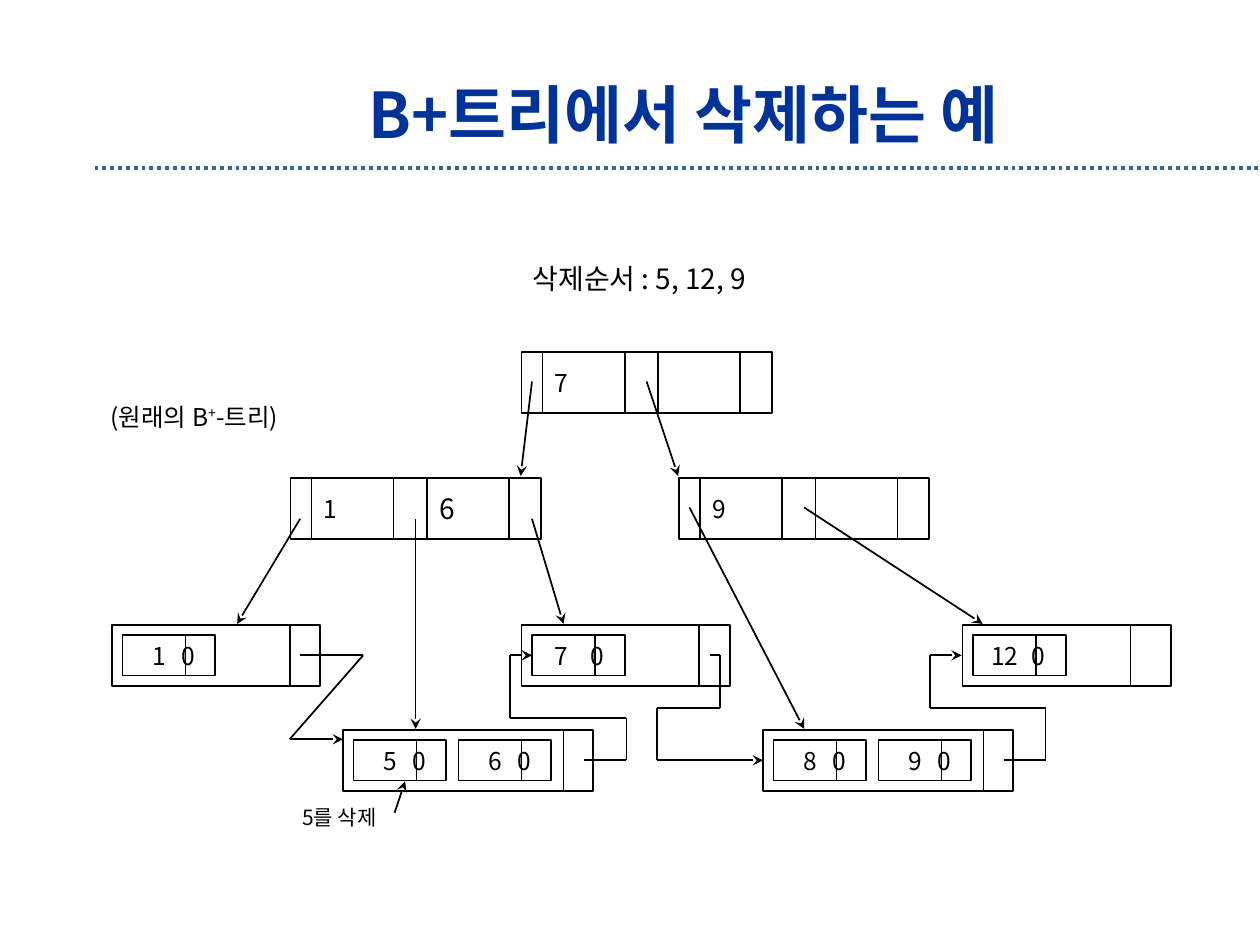
from itertools import pairwise

from lxml import etree
from pptx import Presentation
from pptx.dml.color import RGBColor
from pptx.enum import dml, shapes, text
from pptx.oxml import ns
from pptx.util import Pt

COLORS = {"ink": "000000", "paper": "FFFFFF", "title": "003399", "rule": "336699"}
FONT = "Noto Sans CJK KR"

deck = Presentation()
deck.slide_width, deck.slide_height = Pt(720), Pt(540)
page = deck.slides.add_slide(deck.slide_layouts[6])


def add_box(left, top, width, height, spans=(), size=14, color="ink", inset=7.2, framed=True):
    """Add a framed rectangle or a plain text box and fill it run by run."""
    place = Pt(left), Pt(top), Pt(width), Pt(height)
    if framed:
        box = page.shapes.add_shape(shapes.MSO_SHAPE.RECTANGLE, *place)
        box.shadow.inherit = False
        box.fill.solid()
        box.fill.fore_color.rgb = RGBColor.from_string(COLORS["paper"])
        box.line.color.rgb = RGBColor.from_string(COLORS["ink"])
        box.line.width = Pt(1)
    else:
        box = page.shapes.add_textbox(*place)
    frame = box.text_frame
    frame.word_wrap = True
    frame.margin_left = Pt(inset)
    frame.vertical_anchor = text.MSO_ANCHOR.MIDDLE if framed else text.MSO_ANCHOR.TOP
    para = frame.paragraphs[0]
    para.alignment = text.PP_ALIGN.LEFT
    for words in spans:
        span = para.add_run()
        span.text = words
        span.font.size = Pt(size)
        span.font.name = FONT
        span.font.color.rgb = RGBColor.from_string(COLORS[color])
        etree.SubElement(span.font._element, ns.qn("a:ea"), typeface=FONT)
    return box


def add_path(points, arrow=False, color="ink", width=1):
    """Join points with straight lines, with an optional arrowhead at the end."""
    for start, end in pairwise(points):
        line = page.shapes.add_connector(
            shapes.MSO_CONNECTOR.STRAIGHT, *[Pt(value) for value in (*start, *end)])
        line.line.color.rgb = RGBColor.from_string(COLORS[color])
        line.line.width = Pt(width)
        if arrow and end == points[-1]:
            etree.SubElement(line.line._get_or_add_ln(), ns.qn("a:tailEnd"), type="stealth")
        etree.SubElement(line._element.spPr, ns.qn("a:effectLst"))
    return line


# Title and rule
rule = add_path([(54, 96), (720, 96)], color="rule", width=2.25)
rule.line.dash_style = dml.MSO_LINE.ROUND_DOT
title = add_box(134.6, 39.6, 512, 50.4, ["B+트리에서 삭제하는 예"], 36, "title", framed=False)
title.text_frame.vertical_anchor = text.MSO_ANCHOR.MIDDLE
title.text_frame.paragraphs[0].alignment = text.PP_ALIGN.CENTER
title.text_frame.paragraphs[0].runs[0].font.bold = True

# Index nodes: left, top, keys with their text sizes
index_nodes = [
    (298, 201, [("7", 14), ("", 14)]),
    (166, 273, [("1", 14), ("6", 16)]),
    (388, 273, [("9", 14), ("", 14)]),
]
for left, top, keys in index_nodes:
    add_box(left, top, 143, 35)
    for column, (key, size) in enumerate(keys):
        add_box(left + 12 + 66 * column, top, 47, 35, [key] if key else [], size)

# Leaf nodes: left, top, width, divider offset, records as (key, inset)
leaf_nodes = [
    (64, 357, 119, 101.6, [("1", 17)]),
    (196, 417, 143, 126, [("5", 17), ("6", 17)]),
    (298, 357, 119, 101.6, [("7", 13)]),
    (436, 417, 143, 126, [("8", 17), ("9", 17)]),
    (550, 357, 119, 96, [("12", 10.5)]),
]
POINTER = 33.7
for left, top, width, divider, records in leaf_nodes:
    add_box(left, top, width, 35)
    add_path([(left + divider, top), (left + divider, top + 35)])
    for column, (key, inset) in enumerate(records):
        record_left = left + 6 + 60 * column
        record = add_box(record_left, top + 6, 53, 23, [f"{key}\t0"], inset=inset)
        record.text_frame.margin_right = 0
        properties = record.text_frame.paragraphs[0]._p.get_or_add_pPr()
        tabs = etree.SubElement(properties, ns.qn("a:tabLst"))
        etree.SubElement(tabs, ns.qn("a:tab"), pos=str(Pt(POINTER - inset)), algn="l")
        add_path([(record_left + 36, top + 6), (record_left + 36, top + 29)])

# Child pointers, then the chain that links the leaves
arrows = [
    [(304, 218), (297.5, 272)],
    [(369.5, 218), (387.5, 272)],
    [(171.5, 296.5), (135.5, 356.5)],
    [(237.5, 296.5), (237.5, 416.5)],
    [(304, 296.5), (322, 356.5)],
    [(394, 290), (459.5, 416.5)],
    [(459.5, 290), (561.5, 356.5)],
    [(171.5, 374.5), (207.5, 374.5), (165.5, 422.5), (196, 422.5)],
    [(333.5, 434.5), (358, 434.5), (358, 410.5), (291.5, 410.5), (291.5, 374.5), (304, 374.5)],
    [(405.5, 374.5), (411.5, 374.5), (411.5, 404.5), (375.5, 404.5), (375.5, 434.5), (436, 434.5)],
    [(574, 434.5), (597.5, 434.5), (597.5, 404.5), (531.5, 404.5), (531.5, 374.5), (549.5, 374.5)],
    [(225.5, 464.5), (231.5, 446.5)],
]
for points in arrows:
    add_path(points, arrow=True)

# Labels
tree_label = add_box(56, 226, 116.6, 24, ["(원래의 B", "+", "-트리)"], framed=False)
tree_label.text_frame.paragraphs[0].runs[1].font._element.set("baseline", "30000")
add_box(297.4, 146, 146, 27, ["삭제순서 : 5, 12, 9"], 16, framed=False)
add_box(165.6, 456, 63, 22, ["5를 삭제"], 12, framed=False)

deck.save("out.pptx")
